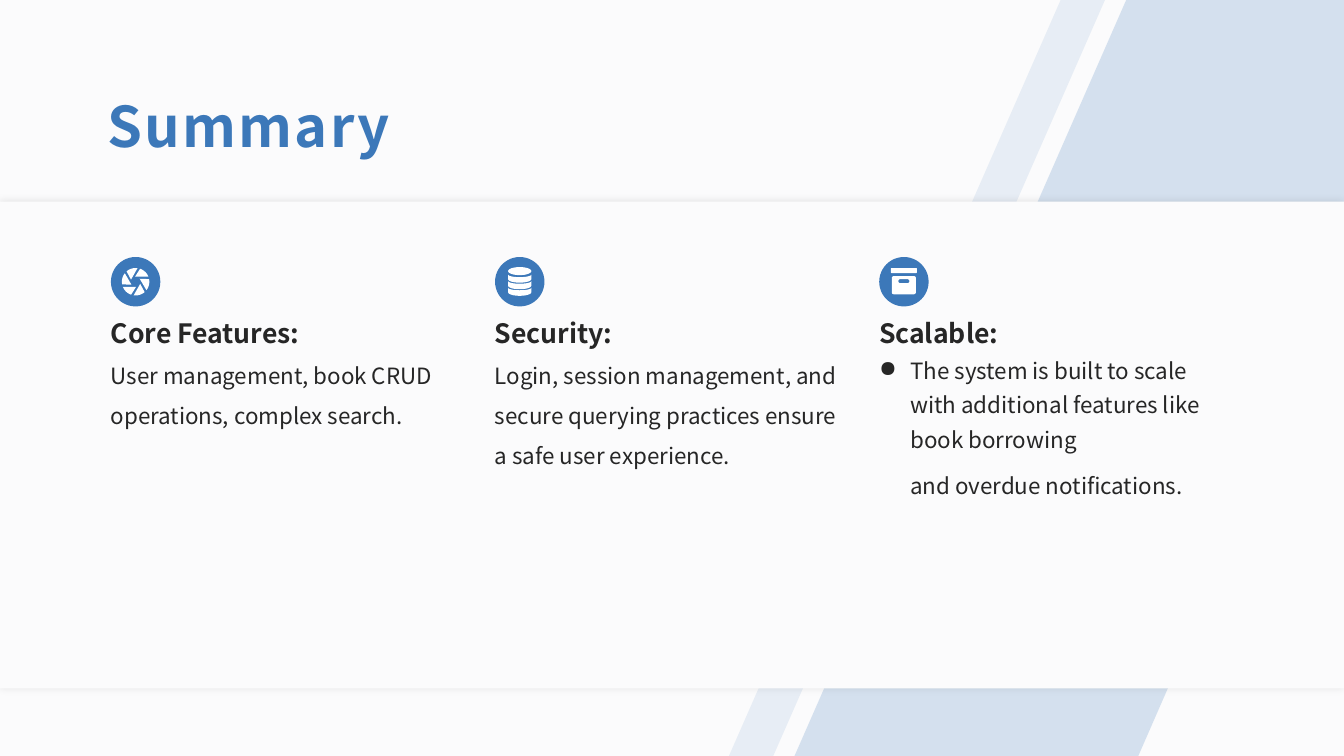
from dataclasses import dataclass
from math import cos, radians, sin

from lxml import etree
from pptx import Presentation
from pptx.dml.color import RGBColor
from pptx.enum.shapes import MSO_SHAPE
from pptx.enum.text import MSO_ANCHOR
from pptx.oxml.ns import qn
from pptx.util import Inches, Pt

RECTANGLE, OVAL = MSO_SHAPE.RECTANGLE, MSO_SHAPE.OVAL
TOP, MIDDLE = MSO_ANCHOR.TOP, MSO_ANCHOR.MIDDLE

SLIDE_W, SLIDE_H = 13.33, 7.5
SLANT = 3.29  # leftward run of the stripes over the slide height
COLUMN_LEFT, COLUMN_PITCH, COLUMN_W = 1.0, 3.81, 3.72
ICON_ROW, HEADING_ROW, BODY_ROW = 2.55, 3.1, 3.41
DISC, INSET = 0.49, 0.1


@dataclass(frozen=True)
class Theme:
    font: str = "Noto Sans CJK SC"
    paper: str = "FBFBFC"
    accent: str = "3C78B9"
    ink: str = "262626"
    white: str = "FFFFFF"
    shadow: str = "0D0D0D"
    title: int = 40
    heading: int = 19
    body: int = 16


THEME = Theme()


@dataclass(frozen=True)
class Paragraph:
    text: str
    line_spacing: float = 1.0
    before: int = 0
    level: int = 0
    margin: float = 0
    indent: float = 0
    bullet: str = ""


def paint(shape, color, alpha=100):
    shape.shadow.inherit = False
    shape.line.fill.background()
    shape.fill.solid()
    shape.fill.fore_color.rgb = RGBColor.from_string(color)
    if alpha < 100:
        rgb = shape._element.spPr.find(qn("a:solidFill"))[0]
        etree.SubElement(rgb, qn("a:alpha"), val=str(alpha * 1000))


def add_solid(slide, preset, left, top, width, height, color):
    shape = slide.shapes.add_shape(
        preset, Inches(left), Inches(top), Inches(width), Inches(height))
    paint(shape, color)
    return shape


def add_outline(slide, contours, color, alpha=100, origin=(0, 0)):
    """Draw closed contours, given in inches from origin, as one freeform."""
    builder = None
    for contour in contours:
        points = [(Inches(origin[0] + x), Inches(origin[1] + y)) for x, y in contour]
        if builder is None:
            builder = slide.shapes.build_freeform(*points[0])
        else:
            builder.move_to(*points[0])
        builder.add_line_segments(points[1:], close=True)
    paint(builder.convert_to_shape(), color, alpha)


def add_text(slide, box, paragraphs, size, color, bold=False, anchor=TOP,
             insets=(INSET, 0.05), tracking=0):
    frame = slide.shapes.add_textbox(*map(Inches, box)).text_frame
    frame.word_wrap = True
    frame.vertical_anchor = anchor
    frame.margin_left = frame.margin_right = Inches(insets[0])
    frame.margin_top = frame.margin_bottom = Inches(insets[1])
    for number, item in enumerate(paragraphs):
        paragraph = frame.add_paragraph() if number else frame.paragraphs[0]
        paragraph.level = item.level
        paragraph.line_spacing = item.line_spacing
        paragraph.space_before = Pt(item.before)
        properties = paragraph._p.get_or_add_pPr()
        properties.set("marL", str(Inches(item.margin)))
        properties.set("indent", str(Inches(item.indent)))
        if item.bullet:
            etree.SubElement(properties, qn("a:buChar"), char=item.bullet)
        run = paragraph.add_run()
        run.text = item.text
        run.font.name = THEME.font
        run.font.size = Pt(size)
        run.font.bold = bold
        run.font.color.rgb = RGBColor.from_string(color)
        if tracking:
            run._r.get_or_add_rPr().set("spc", str(round(tracking * 100)))


def arc(cx, cy, rx, ry, start, end, steps=16):
    angles = [radians(start + (end - start) * i / steps) for i in range(steps + 1)]
    return [(cx + rx * cos(a), cy + ry * sin(a)) for a in angles]


def rounded_box(half_width, top, bottom, radius):
    corners = [(1, bottom - radius, 0), (-1, bottom - radius, 90),
               (-1, top + radius, 180), (1, top + radius, 270)]
    return [point for side, y, start in corners
            for point in arc(side * (half_width - radius), y, radius, radius,
                             start, start + 90, 6)]


def shutter_icon():
    blade = [(0.005, 0.05)] + arc(0, 0, 0.136, 0.136, 109, 158)
    turns = [(cos(radians(a)), sin(radians(a))) for a in range(0, 360, 60)]
    return [[(x * c - y * s, x * s + y * c) for x, y in blade] for c, s in turns]


def database_icon():
    half = 0.115
    layers = [arc(0, y, half, 0.025, 180, 0) + arc(0, y + 0.045, half, 0.035, 0, 180)
              for y in (-0.07, -0.005, 0.06)]
    return [arc(0, -0.105, half, 0.04, 0, 360, 32)] + layers


def archive_icon():
    lid = rounded_box(0.13, -0.135, -0.085, 0.01)
    body = rounded_box(0.12, -0.055, 0.125, 0.02)
    slot = rounded_box(0.055, -0.025, 0.015, 0.02)
    return [lid, body, slot[::-1]]


def add_backdrop(slide):
    slide.background.fill.solid()
    slide.background.fill.fore_color.rgb = RGBColor.from_string(THEME.paper)
    narrow = [(10.52, 0), (10.96, 0), (10.96 - SLANT, SLIDE_H), (10.52 - SLANT, SLIDE_H)]
    wide = [(11.17, 0), (SLIDE_W, 0), (SLIDE_W, 2.83), (11.29, SLIDE_H),
            (11.17 - SLANT, SLIDE_H)]
    add_outline(slide, [narrow], THEME.accent, alpha=10)
    add_outline(slide, [wide], THEME.accent, alpha=20)
    panel = add_solid(slide, RECTANGLE, 0, 2, SLIDE_W, 4.83, THEME.paper)
    effects = panel._element.spPr.find(qn("a:effectLst"))
    glow = etree.SubElement(effects, qn("a:outerShdw"), blurRad=str(Pt(5)),
                            dist="0", dir="0", algn="ctr", rotWithShape="0")
    rgb = etree.SubElement(glow, qn("a:srgbClr"), val=THEME.shadow)
    etree.SubElement(rgb, qn("a:alpha"), val="10000")


def add_topic(slide, column, icon, heading, paragraphs):
    left = COLUMN_LEFT + column * COLUMN_PITCH
    disc_left = left + INSET
    add_solid(slide, OVAL, disc_left, ICON_ROW, DISC, DISC, THEME.accent)
    add_outline(slide, icon, THEME.white,
                origin=(disc_left + DISC / 2, ICON_ROW + DISC / 2))
    add_text(slide, (left, BODY_ROW, COLUMN_W, 2.87), paragraphs, THEME.body, THEME.ink)
    add_text(slide, (left, HEADING_ROW, COLUMN_W, 0.44), [Paragraph(heading)],
             THEME.heading, THEME.ink, bold=True)


def main():
    deck = Presentation()
    deck.slide_width, deck.slide_height = Inches(SLIDE_W), Inches(SLIDE_H)
    slide = deck.slides.add_slide(deck.slide_layouts[6])
    add_backdrop(slide)
    add_text(slide, (COLUMN_LEFT, 0.83, 8.67, 0.83), [Paragraph("Summary")],
             THEME.title, THEME.accent, bold=True, anchor=MIDDLE,
             insets=(0.07, 0.03), tracking=1.6)
    topics = [
        (shutter_icon(), "Core Features:", [
            Paragraph("User management, book CRUD operations, complex search.", 1.5, 4)]),
        (database_icon(), "Security:", [
            Paragraph("Login, session management, and secure querying practices "
                      "ensure a safe user experience.", 1.5, 4)]),
        (archive_icon(), "Scalable:", [
            Paragraph("The system is built to scale with additional features like "
                      "book borrowing", 1.3, 10, margin=0.31, indent=-0.31, bullet="●"),
            Paragraph("and overdue notifications.", 1.5, 4, level=1, margin=0.31)]),
    ]
    for column, topic in enumerate(topics):
        add_topic(slide, column, *topic)
    deck.save("out.pptx")


if __name__ == "__main__":
    main()
